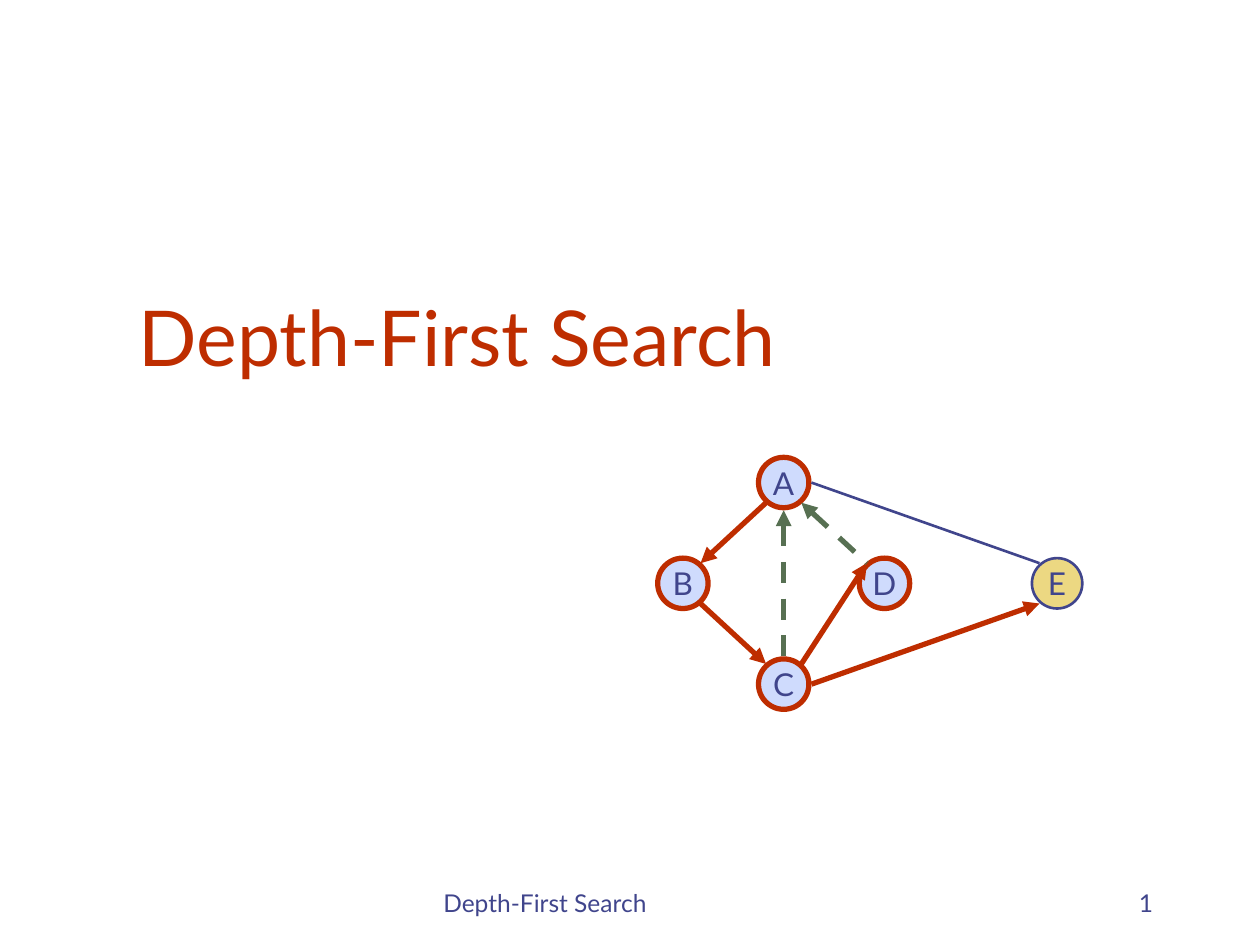
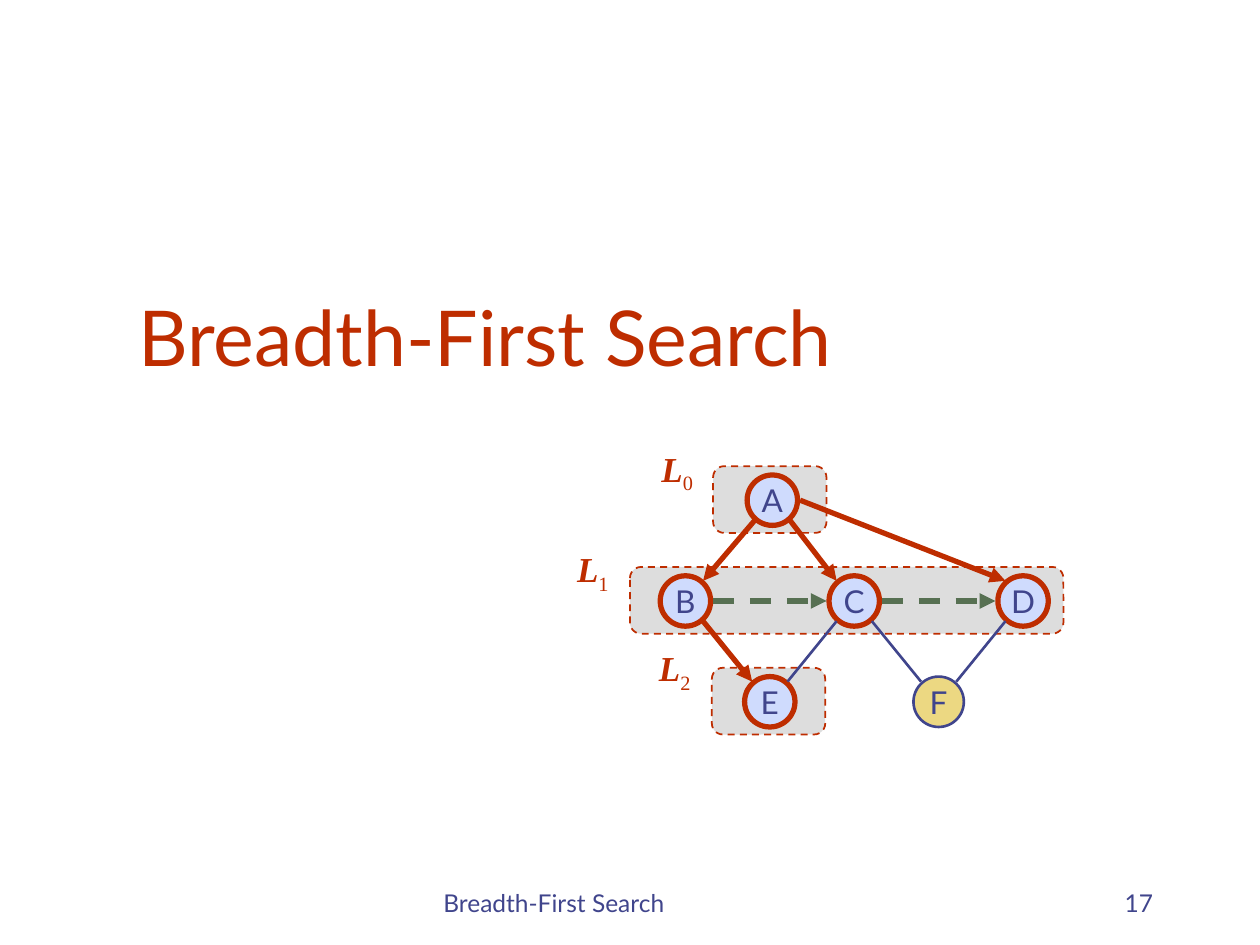
"""Builds two section slides on graph traversal, each with a small search diagram."""
from dataclasses import dataclass

from lxml import etree
from pptx import Presentation
from pptx import util as u
from pptx.dml.color import RGBColor
from pptx.enum import dml, shapes, text
from pptx.oxml import ns


@dataclass(frozen=True)
class Theme:
    ink: str = "40458C"
    accent: str = "BE2D00"
    back_edge: str = "577052"
    visited: str = "CFDBFD"
    unvisited: str = "ECD882"
    level: str = "DDDDDD"
    font: str = "Lato"
    math_font: str = "Times New Roman"
    title_size: float = 44
    level_size: float = 20
    node_size: float = 18
    footer_size: float = 14
    thick: float = 3
    medium: float = 1.5
    thin: float = 1


THEME = Theme()
NODE = 0.4
PORTS = {
    "N": (0, -0.22), "S": (0, 0.22), "W": (-0.22, 0), "E": (0.22, 0),
    "NW": (-0.14, -0.16), "NE": (0.14, -0.16),
    "SW": (-0.14, 0.16), "SE": (0.14, 0.16),
}
EDGES = {
    "tree": (THEME.accent, THEME.thick, False, "tailEnd"),
    "back": (THEME.back_edge, THEME.thick, True, "headEnd"),
    "cross": (THEME.back_edge, THEME.thick, True, "tailEnd"),
    "plain": (THEME.ink, THEME.medium, False, None),
}

DFS_NODES = {"A": (6.22, 3.83), "B": (5.42, 4.63), "C": (6.22, 5.43),
             "D": (7.02, 4.63), "E": (8.39, 4.63)}
DFS_EDGES = [
    ("tree", "A", "SW", "B", "NE"), ("tree", "B", "SE", "C", "NW"),
    ("tree", "C", "NE", "D", "NW"), ("tree", "C", "E", "E", "SW"),
    ("back", "A", "SE", "D", "NW"), ("back", "A", "S", "C", "N"),
    ("plain", "A", "E", "E", "NW"),
]

BFS_NODES = {"A": (6.13, 3.97), "B": (5.44, 4.77), "C": (6.78, 4.77),
             "D": (8.12, 4.77), "E": (6.11, 5.57), "F": (7.45, 5.57)}
BFS_EDGES = [
    ("tree", "A", "SW", "B", "NE"), ("tree", "A", "SE", "C", "NW"),
    ("tree", "A", "E", "D", "NW"), ("tree", "B", "SE", "E", "NW"),
    ("cross", "B", "E", "C", "W"), ("cross", "C", "E", "D", "W"),
    ("plain", "E", "NE", "C", "SW"), ("plain", "C", "SE", "F", "NW"),
    ("plain", "F", "NE", "D", "SW"),
]
BFS_LEVELS = [(5.66, 3.7, 0.9, 5.12, 3.5), (5, 4.5, 3.44, 4.45, 4.3),
              (5.65, 5.3, 0.9, 5.1, 5.08)]


def inches(*lengths):
    """Convert several numbers to lengths."""
    return [u.Inches(length) for length in lengths]


def add_span(para, words, size, color, font=THEME.font):
    """Append one styled run to a paragraph."""
    span = para.add_run()
    span.text = words
    span.font.size = u.Pt(size)
    span.font.name = font
    span.font.color.rgb = RGBColor.from_string(color)
    return span


def add_text(page, place, words, size, color, align=text.PP_ALIGN.LEFT):
    """Add a bottom-anchored text box with one line."""
    frame = page.shapes.add_textbox(*inches(*place)).text_frame
    frame.word_wrap = True
    frame.vertical_anchor = text.MSO_ANCHOR.BOTTOM
    para = frame.paragraphs[0]
    para.alignment = align
    add_span(para, words, size, color)


def style_line(line, color, width, dashed=False):
    """Set the colour, width and dash of a line."""
    line.color.rgb = RGBColor.from_string(color)
    line.width = u.Pt(width)
    if dashed:
        line.dash_style = dml.MSO_LINE.DASH


def add_outlined(page, kind, place, fill, color, width, dashed=False):
    """Add a filled and outlined preset shape."""
    shape = page.shapes.add_shape(kind, *inches(*place))
    shape.shadow.inherit = False
    shape.fill.solid()
    shape.fill.fore_color.rgb = RGBColor.from_string(fill)
    style_line(shape.line, color, width, dashed)
    return shape


def add_node(page, name, center, visited):
    """Add a graph node as a lettered circle."""
    x, y = center
    look = ((THEME.visited, THEME.accent, THEME.thick) if visited
            else (THEME.unvisited, THEME.ink, THEME.medium))
    place = (x - NODE / 2, y - NODE / 2, NODE, NODE)
    circle = add_outlined(page, shapes.MSO_SHAPE.OVAL, place, *look)
    frame = circle.text_frame
    frame.word_wrap = False
    frame.vertical_anchor = text.MSO_ANCHOR.MIDDLE
    para = frame.paragraphs[0]
    para.alignment = text.PP_ALIGN.CENTER
    add_span(para, name, THEME.node_size, THEME.ink)


def add_edge(page, style, start, end):
    """Add a graph edge between two points."""
    color, width, dashed, arrow = EDGES[style]
    edge = page.shapes.add_connector(
        shapes.MSO_CONNECTOR.STRAIGHT, *inches(*start, *end))
    style_line(edge.line, color, width, dashed)
    if arrow:
        etree.SubElement(edge.get_or_add_ln(), ns.qn(f"a:{arrow}"), type="triangle")
    etree.SubElement(edge._element.spPr, ns.qn("a:effectLst"))


def add_graph(page, nodes, edges, unvisited):
    """Add all nodes and the edges that join their ports."""
    def port(name, side):
        """Give the point on one side of a node."""
        return [a + b for a, b in zip(nodes[name], PORTS[side])]

    for name, center in nodes.items():
        add_node(page, name, center, name != unvisited)
    for style, first, first_side, second, second_side in edges:
        add_edge(page, style, port(first, first_side), port(second, second_side))


def add_level(page, index, left, top, width, label_left, label_top):
    """Add the band of one search level and its subscripted label."""
    add_outlined(page, shapes.MSO_SHAPE.ROUNDED_RECTANGLE, (left, top, width, 0.53),
                 THEME.level, THEME.accent, THEME.thin, True)
    box = page.shapes.add_textbox(*inches(label_left, label_top, 0.51, 0.43))
    box.text_frame.word_wrap = True
    para = box.text_frame.paragraphs[0]
    para.alignment = text.PP_ALIGN.CENTER
    letter = add_span(para, "L", THEME.level_size, THEME.accent, THEME.math_font)
    letter.font.bold = letter.font.italic = True
    number = add_span(para, str(index), THEME.level_size, THEME.accent, THEME.math_font)
    number._r.get_or_add_rPr().set("baseline", "-25000")


def add_section(deck, title, number):
    """Add a page with its title, footer and page number."""
    page = deck.slides.add_slide(deck.slide_layouts[6])
    add_text(page, (3.42, 6.83, 3.17, 0.5), title, THEME.footer_size, THEME.ink)
    add_text(page, (7.17, 6.83, 2.08, 0.5), number, THEME.footer_size, THEME.ink,
             text.PP_ALIGN.RIGHT)
    add_text(page, (1, 1.83, 8.5, 1.25), title, THEME.title_size, THEME.accent)
    return page


def main():
    """Build and save the deck."""
    deck = Presentation()
    deck.slide_width, deck.slide_height = inches(10, 7.5)

    depth = add_section(deck, "Depth-First Search", "1")
    add_graph(depth, DFS_NODES, DFS_EDGES, "E")

    breadth = add_section(deck, "Breadth-First Search", "17")
    for index, level in enumerate(BFS_LEVELS):
        add_level(breadth, index, *level)
    add_graph(breadth, BFS_NODES, BFS_EDGES, "F")

    deck.save("out.pptx")


if __name__ == "__main__":
    main()
